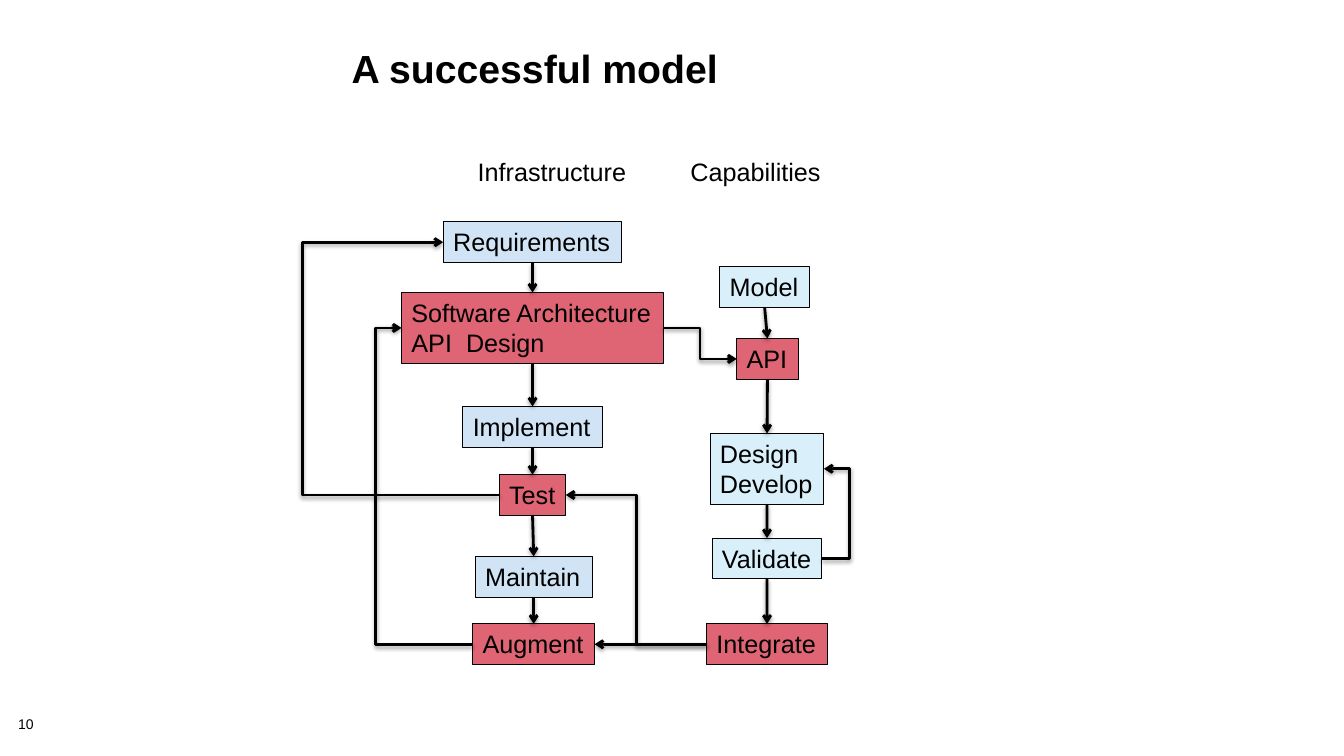
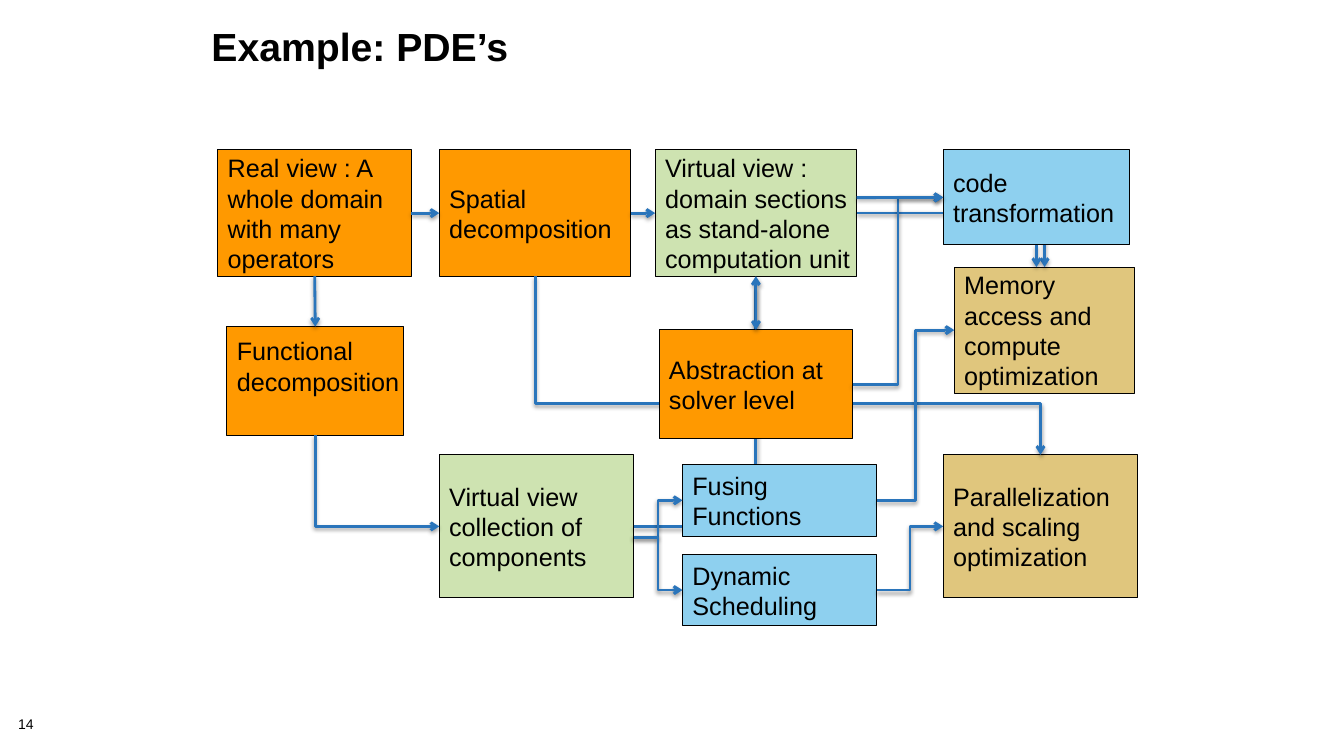
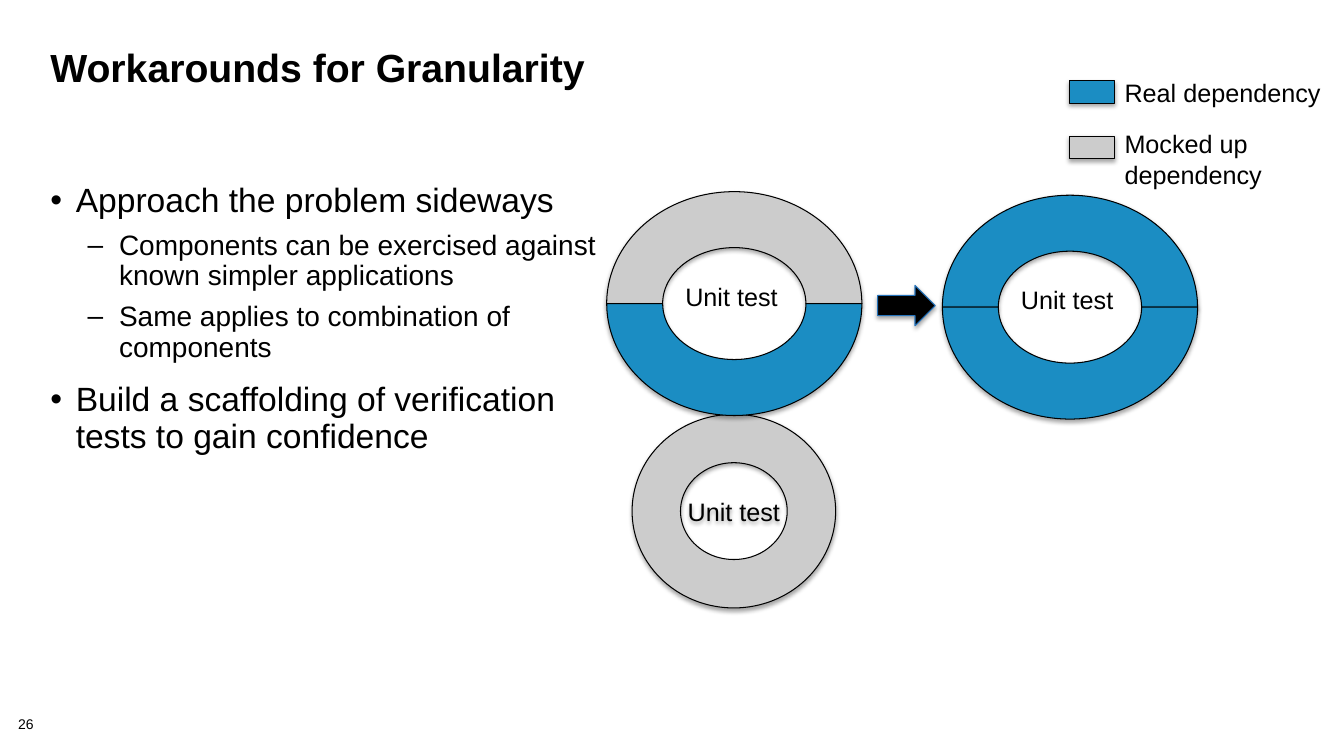
"""Build three slides on designing, decomposing and testing scientific software."""
from dataclasses import dataclass

from lxml import etree
from pptx import Presentation
from pptx.dml.color import RGBColor
from pptx.enum.shapes import MSO_CONNECTOR, MSO_SHAPE
from pptx.enum.text import MSO_ANCHOR, MSO_AUTO_SIZE, PP_ALIGN
from pptx.oxml.ns import qn
from pptx.util import Cm, Pt

RECT, DONUT = MSO_SHAPE.RECTANGLE, MSO_SHAPE.DONUT
ARC, ARROW = MSO_SHAPE.BLOCK_ARC, MSO_SHAPE.RIGHT_ARROW
STRAIGHT, ELBOW = MSO_CONNECTOR.STRAIGHT, MSO_CONNECTOR.ELBOW
ANCHOR_TOP, ANCHOR_MIDDLE = MSO_ANCHOR.TOP, MSO_ANCHOR.MIDDLE
FIT, NO_FIT = MSO_AUTO_SIZE.SHAPE_TO_FIT_TEXT, MSO_AUTO_SIZE.NONE
ALIGN_LEFT, ALIGN_CENTER = PP_ALIGN.LEFT, PP_ALIGN.CENTER
TOP, LEFT, BOTTOM, RIGHT = range(4)


@dataclass(frozen=True)
class Theme:
    """Colours, font and type sizes of the deck."""

    font: str = "Arial"
    black: str = "000000"
    pale_blue: str = "D1E4F5"
    ice: str = "D9EFFA"
    red: str = "DF6474"
    orange: str = "FF9900"
    green: str = "CEE3B1"
    sand: str = "E0C67D"
    sky: str = "8ED0EF"
    link: str = "2A75BB"
    arrow_edge: str = "2673BA"
    real: str = "1B8DC3"
    mock: str = "CCCCCC"
    title: int = 28
    body: int = 24
    sub: int = 20
    label: int = 18
    number: int = 10
    outline: float = 0.75
    connector: float = 2


T = Theme()


def rgb(color):
    """Turn a hex string into a colour."""
    return RGBColor.from_string(color)


def write(tf, text, size=T.label, bold=False, align=ALIGN_LEFT, spacing=None,
          before=None, color=T.black, more=False):
    """Write one paragraph per line of text and return the last one."""
    for i, line in enumerate(text.split("\n")):
        p = tf.add_paragraph() if i or more else tf.paragraphs[0]
        p.alignment = align
        if spacing:
            p.line_spacing = spacing
        if before:
            p.space_before = Pt(before)
        r = p.add_run()
        r.text = line
        r.font.name, r.font.size, r.font.bold = T.font, Pt(size), bold
        r.font.color.rgb = rgb(color)
    return p


def add_text(slide, x, y, w, h, text, wrap=False, inset=True, **fmt):
    """Add a text box."""
    tf = slide.shapes.add_textbox(Cm(x), Cm(y), Cm(w), Cm(h)).text_frame
    tf.word_wrap = wrap
    tf.auto_size = NO_FIT if wrap else FIT
    if not inset:
        tf.margin_left = tf.margin_top = tf.margin_right = tf.margin_bottom = 0
    write(tf, text, **fmt)
    return tf


def add_bullet(tf, text, char, left, hang, **fmt):
    """Add a bulleted paragraph to a text frame."""
    pPr = write(tf, text, spacing=0.9, **fmt)._p.get_or_add_pPr()
    pPr.set("marL", str(Cm(left)))
    pPr.set("indent", str(-Cm(hang)))
    color = etree.SubElement(pPr, qn("a:buClr"))
    etree.SubElement(color, qn("a:srgbClr"), val=T.black)
    etree.SubElement(pPr, qn("a:buFont"), typeface=T.font)
    etree.SubElement(pPr, qn("a:buChar"), char=char)


def drop_shadow(effects, alpha, dist):
    """Put a soft downward shadow in an effect list."""
    sh = etree.SubElement(effects, qn("a:outerShdw"), blurRad=str(Pt(3.1)),
                          dist=str(Pt(dist)), dir="5400000", rotWithShape="0")
    color = etree.SubElement(sh, qn("a:srgbClr"), val=T.black)
    etree.SubElement(color, qn("a:alpha"), val=str(alpha * 1000))


def add_shape(slide, kind, x, y, w, h, fill, edge=T.black, shadow=False):
    """Add a filled and outlined preset shape."""
    sp = slide.shapes.add_shape(kind, Cm(x), Cm(y), Cm(w), Cm(h))
    sp.fill.solid()
    sp.fill.fore_color.rgb = rgb(fill)
    sp.line.color.rgb = rgb(edge)
    sp.line.width = Pt(T.outline)
    sp.shadow.inherit = False
    if shadow:
        drop_shadow(sp._element.spPr.find(qn("a:effectLst")), 35, 1.8)
    return sp


def add_box(slide, x, y, w, h, fill, text, fit=False, lift=0):
    """Add a labelled rectangle, its text raised by half of lift."""
    sp = add_shape(slide, RECT, x, y, w, h, fill)
    tf = sp.text_frame
    tf.word_wrap = False
    tf.auto_size = FIT if fit else NO_FIT
    tf.vertical_anchor = ANCHOR_TOP if fit else ANCHOR_MIDDLE
    tf.margin_bottom += Cm(lift)
    write(tf, text)
    return sp


def locate(end):
    """Return the point of an end: a box and side, or x and y."""
    if isinstance(end[0], (int, float)):
        return Cm(end[0]), Cm(end[1])
    sp, side = end
    x = sp.left + {LEFT: 0, RIGHT: sp.width}.get(side, sp.width // 2)
    y = sp.top + {TOP: 0, BOTTOM: sp.height}.get(side, sp.height // 2)
    return x, y


def connect(slide, start, end, color, bends=0, via=None, down=False):
    """Add an arrow with 0 to 2 bends, whose first leg may run down."""
    (x1, y1), (x2, y2) = locate(start), locate(end)
    c = slide.shapes.add_connector(ELBOW if bends else STRAIGHT, x1, y1, x2, y2)
    if not isinstance(start[0], (int, float)):
        c.begin_connect(*start)
    if not isinstance(end[0], (int, float)):
        c.end_connect(*end)
    c.line.color.rgb = rgb(color)
    c.line.width = Pt(T.connector)
    spPr = c._element.spPr
    etree.SubElement(spPr.find(qn("a:ln")), qn("a:tailEnd"), type="arrow")
    drop_shadow(etree.SubElement(spPr, qn("a:effectLst")), 38, 1.6)
    geom = spPr.find(qn("a:prstGeom"))
    if bends == 1:
        geom.set("prst", "bentConnector2")
    if via:
        first, last = (y1, y2) if down else (x1, x2)
        ratio = round((Cm(via) - first) / (last - first) * 100000)
        guides = geom.find(qn("a:avLst"))
        if guides is None:
            guides = etree.SubElement(geom, qn("a:avLst"))
        etree.SubElement(guides, qn("a:gd"), name="adj1", fmla=f"val {ratio}")
    if down:
        w, h = y2 - y1, x2 - x1
        c.left, c.top = (x1 + x2 - w) // 2, (y1 + y2 - h) // 2
        c.width, c.height = w, h
        xfrm = spPr.find(qn("a:xfrm"))
        xfrm.set("rot", "16200000")
        xfrm.set("flipH", "1")


def new_slide(prs, number, title, x, y, w):
    """Add a blank slide with its title and number."""
    slide = prs.slides.add_slide(prs.slide_layouts[6])
    add_text(slide, 0.46, 18.08, 1.42, 0.41, number, wrap=True, inset=False,
             size=T.number, spacing=0.9)
    add_text(slide, x, y, w, 1.42, title, wrap=True, size=T.title, bold=True,
             spacing=0.85)
    return slide


def build_model(prs):
    """Draw the two linked development cycles."""
    slide = new_slide(prs, "10", "A successful model", 8.61, 1.17, 17.88)
    infrastructure = (
        ("Requirements", 13.42, 5.59, 4.5, T.pale_blue),
        ("Software Architecture\nAPI  Design", 13.42, 7.37, 6.6, T.red),
        ("Implement", 13.42, 10.24, 3.51, T.pale_blue),
        ("Test", 13.42, 11.96, 1.68, T.red),
        ("Maintain", 13.45, 14.02, 2.95, T.pale_blue),
        ("Augment", 13.45, 15.72, 3.07, T.red),
    )
    capabilities = (
        ("Model", 19.27, 6.71, 2.26, T.ice),
        ("API", 19.34, 8.53, 1.55, T.red),
        ("Design\nDevelop", 19.33, 10.92, 2.87, T.ice),
        ("Validate", 19.33, 13.56, 2.77, T.ice),
        ("Integrate", 19.33, 15.72, 3.05, T.red),
    )
    columns = []
    for rows in infrastructure, capabilities:
        boxes = [add_box(slide, mid - w / 2, y, w, 1.79 if "\n" in text else 1.03,
                         fill, text, fit=True)
                 for text, mid, y, w, fill in rows]
        for upper, lower in zip(boxes, boxes[1:]):
            connect(slide, (upper, BOTTOM), (lower, TOP), T.black)
        columns.append(boxes)
    requirements, architecture, _, test, _, augment = columns[0]
    _, api, design, validate, integrate = columns[1]
    connect(slide, (integrate, LEFT), (augment, RIGHT), T.black)
    for start, end, via in (
        ((augment, LEFT), (architecture, LEFT), 9.47),
        ((validate, RIGHT), (design, RIGHT), 21.41),
        ((architecture, RIGHT), (api, LEFT), None),
        ((test, LEFT), (requirements, LEFT), 7.62),
        ((integrate, LEFT), (test, RIGHT), None),
    ):
        connect(slide, start, end, T.black, bends=2, via=via)
    add_text(slide, 11.79, 3.81, 4.29, 1.03, "Infrastructure")
    add_text(slide, 17.15, 3.81, 3.84, 1.03, "Capabilities")


def build_example(prs):
    """Draw the decomposition of a PDE solver."""
    slide = new_slide(prs, "14", "Example: PDE’s", 5.08, 0.61, 22.86)
    domain = add_box(slide, 5.49, 3.78, 4.88, 3.18, T.orange,
                     "Real view : A\nwhole domain\nwith many\noperators")
    functional = add_box(slide, 5.72, 8.23, 4.45, 2.74, T.orange,
                         "Functional\ndecomposition", lift=0.76)
    sections = add_box(slide, 16.51, 3.78, 5.08, 3.18, T.green,
                       "Virtual view :\ndomain sections\nas stand-alone\ncomputation unit")
    components = add_box(slide, 11.07, 11.46, 4.9, 3.61, T.green,
                         "Virtual view\ncollection of\ncomponents")
    memory = add_box(slide, 24.05, 6.73, 4.55, 3.18, T.sand,
                     "Memory\naccess and\ncompute\noptimization")
    parallel = add_box(slide, 23.77, 11.46, 4.9, 3.61, T.sand,
                       "Parallelization\nand scaling\noptimization")
    spatial = add_box(slide, 11.07, 3.78, 4.83, 3.18, T.orange,
                      "Spatial\ndecomposition")
    for start, end, fmt in (
        ((functional, BOTTOM), (components, LEFT), {"bends": 1, "down": True}),
        ((domain, RIGHT), (spatial, LEFT), {}),
        ((spatial, RIGHT), (sections, LEFT), {}),
        ((domain, BOTTOM), (functional, TOP), {}),
        ((components, RIGHT), (sections, BOTTOM), {"bends": 1}),
        ((sections, RIGHT), (memory, TOP), {"bends": 1}),
        ((spatial, BOTTOM), (parallel, TOP),
         {"bends": 2, "via": 10.16, "down": True}),
    ):
        connect(slide, start, end, T.link, **fmt)

    solver = add_box(slide, 16.61, 8.31, 4.88, 2.74, T.orange,
                     "Abstraction at\nsolver level")
    code = add_box(slide, 23.77, 3.78, 4.7, 2.39, T.sky, "code\ntransformation")
    fusing, scheduling = (
        add_box(slide, 17.2, y, 4.9, 1.8, T.sky, text)
        for y, text in ((11.71, "Fusing\nFunctions"), (13.97, "Dynamic\nScheduling")))
    fork = (15.97, 13.54)
    for start, end, bends in (
        ((19.05, 7.24), (solver, TOP), 0),
        ((solver, RIGHT), (code, LEFT), 2),
        ((code, BOTTOM), (26.12, 6.73), 0),
        ((21.59, 4.98), (code, LEFT), 0),
        (fork, (fusing, LEFT), 2),
        (fork, (scheduling, LEFT), 2),
        ((fusing, RIGHT), (memory, LEFT), 2),
        ((scheduling, RIGHT), (parallel, LEFT), 2),
    ):
        connect(slide, start, end, T.link, bends=bends)


def add_ring(slide, x, y, upper, lower):
    """Add a unit test ringed by two half-circle dependencies."""
    for fill, turn in ((upper, 0), (lower, 180)):
        sp = add_shape(slide, ARC, x, y, 6.43, 5.64, fill, shadow=True)
        sp.rotation = turn
    add_text(slide, x + 1.73, y + 2.13, 2.87, 1.03, "Unit test")


def build_workarounds(prs):
    """Draw the test scaffolding and its legend."""
    slide = new_slide(prs, "26", "Workarounds for Granularity", 1.02, 1.14, 31.6)
    tf = slide.shapes.add_textbox(Cm(1.02), Cm(4.5), Cm(14.27), Cm(11.86)).text_frame
    tf.word_wrap = True
    levels = (
        {"char": "•", "left": 0.64, "hang": 0.64, "size": T.body, "before": 14},
        {"char": "–", "left": 1.73, "hang": 0.79, "size": T.sub, "before": 8},
    )
    for i, (level, text) in enumerate((
        (0, "Approach the problem sideways"),
        (1, "Components can be exercised against known simpler applications"),
        (1, "Same applies to combination of components"),
        (0, "Build a scaffolding of verification tests to gain confidence"),
    )):
        add_bullet(tf, text, more=i > 0, **levels[level])

    sp = add_shape(slide, DONUT, 15.93, 10.44, 5.13, 4.88, T.mock, shadow=True)
    sp.text_frame.vertical_anchor = ANCHOR_MIDDLE
    write(sp.text_frame, "Unit test", align=ALIGN_CENTER)
    add_ring(slide, 15.29, 4.83, T.mock, T.real)
    add_ring(slide, 23.75, 4.92, T.real, T.real)
    add_shape(slide, ARROW, 22.12, 7.19, 1.45, 1.02, T.black,
              edge=T.arrow_edge, shadow=True)
    for fill, y, text, text_y, w, h in (
        (T.real, 2.03, "Real dependency", 1.83, 5.51, 1.03),
        (T.mock, 3.43, "Mocked up\ndependency", 3.12, 4.01, 1.79),
    ):
        add_shape(slide, RECT, 26.95, y, 1.14, 0.57, fill, shadow=True)
        add_text(slide, 28.09, text_y, w, h, text)


def main():
    """Build and save the deck."""
    prs = Presentation()
    prs.slide_width, prs.slide_height = Cm(33.87), Cm(19.05)
    build_model(prs)
    build_example(prs)
    build_workarounds(prs)
    prs.save("out.pptx")


if __name__ == "__main__":
    main()
